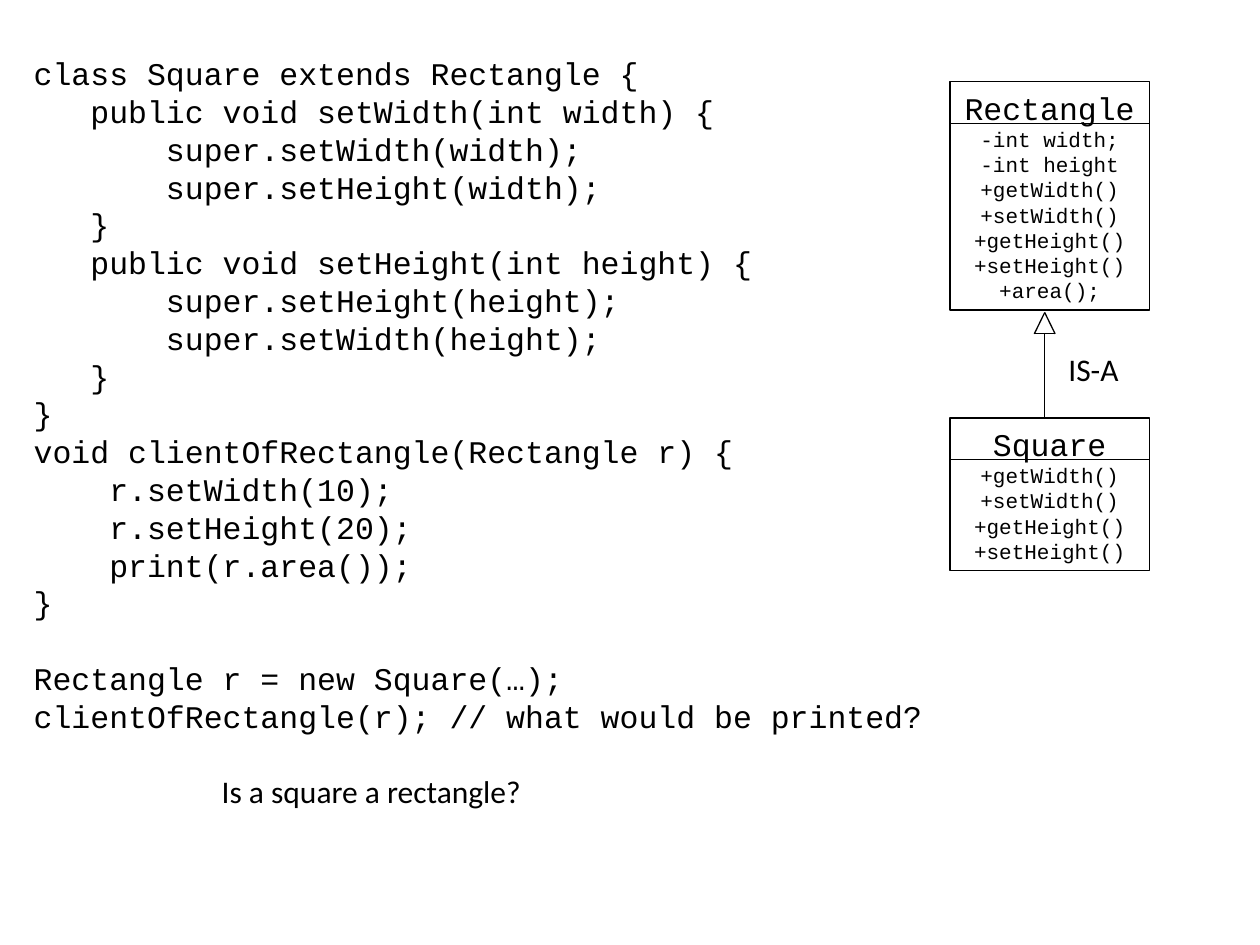
from lxml import etree
from pptx import Presentation
from pptx.dml.color import RGBColor
from pptx.enum.shapes import MSO_CONNECTOR, MSO_SHAPE
from pptx.enum.text import MSO_AUTO_SIZE, PP_ALIGN
from pptx.oxml.ns import qn
from pptx.util import Cm, Pt

STRAIGHT = MSO_CONNECTOR.STRAIGHT
RECTANGLE = MSO_SHAPE.RECTANGLE
FIT_SHAPE = MSO_AUTO_SIZE.SHAPE_TO_FIT_TEXT
CENTER = PP_ALIGN.CENTER

COLORS = {"ink": "000000"}
INK = RGBColor.from_string(COLORS["ink"])
CODE_FONT = "Courier New"
LABEL_FONT = "Calibri"
LINE_WIDTH = Pt(0.75)

CODE = """class Square extends Rectangle {
   public void setWidth(int width) {
       super.setWidth(width);
       super.setHeight(width);
   }
   public void setHeight(int height) {
       super.setHeight(height);
       super.setWidth(height);
   }
}
void clientOfRectangle(Rectangle r) {
    r.setWidth(10);
    r.setHeight(20);
    print(r.area());
}
Rectangle r = new Square(…);
clientOfRectangle(r); // what would be printed?"""
USAGE_START = "Rectangle r ="

CLASS_LEFT, CLASS_WIDTH = 19.15, 4.02
CLASS_RIGHT = CLASS_LEFT + CLASS_WIDTH
HEADER_HEIGHT = 0.84
ACCESSORS = ["+getWidth()", "+setWidth()", "+getHeight()", "+setHeight()"]
# name, top, height, members
CLASSES = [
    ("Rectangle", 1.65, 4.6, ["-int width;", "-int height", *ACCESSORS, "+area();"]),
    ("Square", 8.43, 3.07, ACCESSORS),
]

# text, left, top, width, height
LABELS = [
    ("IS-A", 21.29, 6.93, 1.78, 1.02),
    ("Is a square a rectangle?", 4.22, 15.44, 6.63, 1.02),
]


def write(box, lines, font_name, wrap=True):
    frame = box.text_frame
    frame.word_wrap = wrap
    frame.auto_size = FIT_SHAPE
    frame.text = "\n".join(lines)
    for para in frame.paragraphs:
        for span in para.runs:
            span.font.name = font_name
            span.font.size = Pt(18)
            span.font.color.rgb = INK
    return frame.paragraphs


def add_line(x1, y1, x2, y2):
    line = page.shapes.add_connector(STRAIGHT, Cm(x1), Cm(y1), Cm(x2), Cm(y2))
    line.line.color.rgb = INK
    line.line.width = LINE_WIDTH
    properties = line._element.spPr
    etree.SubElement(properties, qn("a:effectLst"))


deck = Presentation()
deck.slide_width = Cm(25.4)
deck.slide_height = Cm(19.05)
page = deck.slides.add_slide(deck.slide_layouts[6])

# Class diagram
for name, top, height, members in CLASSES:
    box = page.shapes.add_shape(
        RECTANGLE, Cm(CLASS_LEFT), Cm(top), Cm(CLASS_WIDTH), Cm(height)
    )
    box.shadow.inherit = False
    box.fill.background()
    box.line.color.rgb = INK
    box.line.width = LINE_WIDTH
    paras = write(box, [name, *members], CODE_FONT)
    for para in paras:
        para.alignment = CENTER
    for para in paras[1:]:
        para.runs[0].font.size = Pt(12)
    add_line(CLASS_LEFT, top + HEADER_HEIGHT, CLASS_RIGHT, top + HEADER_HEIGHT)

# Inheritance arrow with a hollow triangular head
tip = (21.06, 6.3)
base_left, base_right = (20.85, 6.73), (21.27, 6.73)
for start, end in [
    (tip, base_left),
    (tip, base_right),
    (base_left, base_right),
    ((21.06, 6.73), (21.06, 8.43)),
]:
    add_line(*start, *end)

# Code listing
listing = page.shapes.add_textbox(Cm(0.43), Cm(0.97), Cm(18.42), Cm(14))
for para in write(listing, CODE.split("\n"), CODE_FONT):
    if para.text.startswith(USAGE_START):
        para.space_before = Pt(21.6)

for text, left, top, width, height in LABELS:
    label = page.shapes.add_textbox(Cm(left), Cm(top), Cm(width), Cm(height))
    write(label, [text], LABEL_FONT, wrap=False)

deck.save("out.pptx")
